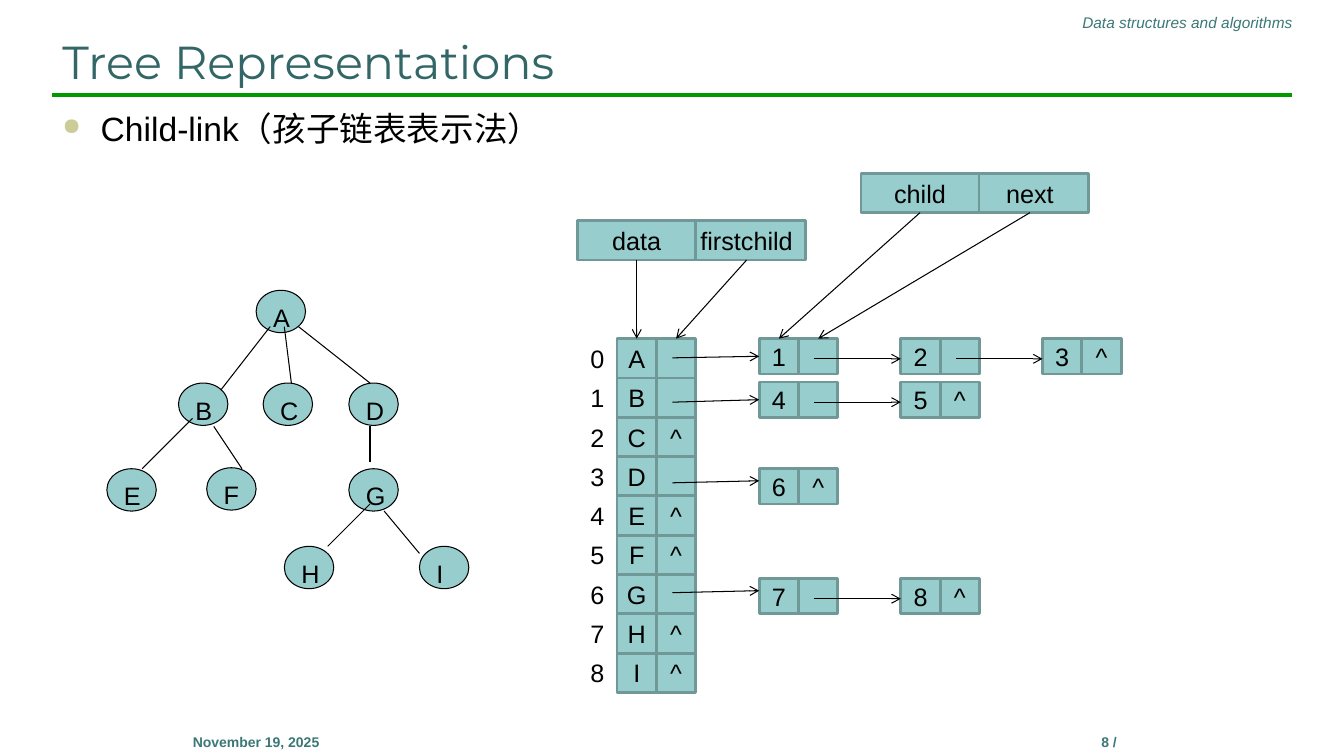
from lxml import etree
from pptx import Presentation
from pptx import util as u
from pptx.dml.color import RGBColor
from pptx.enum import shapes, text
from pptx.oxml.ns import qn

BLACK, GREEN, TEAL, TITLE = "000000", "009900", "3A7877", "336666"
FILL, BORDER, BULLET = "97CDCC", "709897", "CCCC99"
LEFT, CENTER, RIGHT = text.PP_ALIGN.LEFT, text.PP_ALIGN.CENTER, text.PP_ALIGN.RIGHT
TOP, MIDDLE, BOTTOM = text.MSO_ANCHOR.TOP, text.MSO_ANCHOR.MIDDLE, text.MSO_ANCHOR.BOTTOM
RECTANGLE, OVAL = shapes.MSO_SHAPE.RECTANGLE, shapes.MSO_SHAPE.OVAL

presentation = Presentation()
presentation.slide_width = u.Inches(13.33)
presentation.slide_height = u.Inches(7.5)
slide = presentation.slides.add_slide(presentation.slide_layouts[6])


def add_box(place, wording="", kind=None, border=(BORDER, 2), align=CENTER,
            anchor=MIDDLE, color=BLACK, wrap=False, **font):
    lengths = [u.Inches(value) for value in place]
    if kind is None:
        shape = slide.shapes.add_textbox(*lengths)
    else:
        shape = slide.shapes.add_shape(kind, *lengths)
        shape.shadow.inherit = False
        shape.fill.solid()
        shape.fill.fore_color.rgb = RGBColor.from_string(FILL)
        shape.line.color.rgb = RGBColor.from_string(border[0])
        shape.line.width = u.Pt(border[1])
    frame = shape.text_frame
    frame.word_wrap = wrap
    frame.vertical_anchor = anchor
    if wording:
        paragraph = frame.paragraphs[0]
        paragraph.alignment = align
        run = paragraph.add_run()
        run.text = wording
        run.font.color.rgb = RGBColor.from_string(color)
        for name, value in {"name": "Arial", "size": u.Pt(18), **font}.items():
            setattr(run.font, name, value)
    return shape


def add_line(start, end, color=BLACK, width=0.75, arrow=False):
    lengths = [u.Inches(value) for value in (*start, *end)]
    line = slide.shapes.add_connector(shapes.MSO_CONNECTOR.STRAIGHT, *lengths)
    line.line.color.rgb = RGBColor.from_string(color)
    line.line.width = u.Pt(width)
    if arrow:
        etree.SubElement(line.line._get_or_add_ln(), qn("a:tailEnd"), type="arrow")
    etree.SubElement(line._element.spPr, qn("a:effectLst"))
    return line


add_line((0.52, 0.94), (12.81, 0.94), GREEN, 3)
add_box((5.63, 0.08, 7.29, 0.29), "Data structures and algorithms", align=RIGHT,
        anchor=TOP, color=TEAL, wrap=True, size=u.Pt(11), italic=True)
for left, wording in ((9.5, "8 /"), (1.04, "November 19, 2025")):
    add_box((left, 7.23, 3, 0.5), wording, anchor=TOP, color=TEAL, wrap=True,
            size=u.Pt(10), bold=True)
add_box((0.52, 0.23, 12.29, 0.7), "Tree Representations", align=LEFT, anchor=BOTTOM,
        color=TITLE, wrap=True, name="Montserrat", size=u.Pt(33))

body = add_box((0.52, 1.02, 12.29, 6.09), "Child-link（孩子链表表示法）", align=LEFT,
               anchor=TOP, wrap=True, size=u.Pt(24))
properties = body.text_frame.paragraphs[0]._p.get_or_add_pPr()
properties.set("marL", str(u.Inches(0.38)))
properties.set("indent", str(u.Inches(-0.38)))
spacing = etree.SubElement(properties, qn("a:spcBef"))
etree.SubElement(spacing, qn("a:spcPct"), val="20000")
bullet_color = etree.SubElement(properties, qn("a:buClr"))
etree.SubElement(bullet_color, qn("a:srgbClr"), val=BULLET)
etree.SubElement(properties, qn("a:buSzPct"), val="70000")
etree.SubElement(properties, qn("a:buChar"), char="●")

tree_nodes = {
    "A": (2.54, 2.88), "B": (1.77, 3.8), "C": (2.61, 3.8), "E": (1.06, 4.65),
    "D": (3.46, 3.8), "F": (2.05, 4.64), "G": (3.46, 4.65), "H": (2.82, 5.42),
    "I": (4.16, 5.42),
}
for letter, (left, top) in tree_nodes.items():
    add_box((left, top, 0.49, 0.42), kind=OVAL, border=(BLACK, 0.75))
    add_box((left + 0.07, top + 0.07, 0.42, 0.4), letter, align=LEFT, wrap=True)

tree_edges = [
    ((2.68, 3.24), (2.19, 3.87)), ((2.82, 3.24), (2.89, 3.8)),
    ((2.96, 3.24), (3.67, 3.8)), ((1.91, 4.15), (1.41, 4.65)),
    ((2.12, 4.23), (2.4, 4.65)), ((3.67, 4.23), (3.67, 4.58)),
    ((3.67, 5), (3.25, 5.42)), ((3.81, 5.07), (4.16, 5.49)),
]
for start, end in tree_edges:
    add_line(start, end)

CELL, LINK_HEIGHT, LINK_STEP, ARRAY_TOP = 0.39, 0.35, 1.405, 3.36
array_cells = []
for index, letter in enumerate("ABCDEFGHI"):
    top = ARRAY_TOP + index * CELL
    mark = "" if letter in "ABDG" else "^"
    array_cells.append([
        add_box((6.12, top, CELL, CELL), letter, RECTANGLE),
        add_box((6.51, top, CELL, CELL), mark, RECTANGLE),
    ])
    add_box((5.73, top, CELL, CELL), str(index))

child_lists = [
    (3.36, 3.55, "123", True), (3.79, 3.99, "45", True),
    (4.65, 4.79, "6", False), (5.74, 5.88, "78", False),
]
link_cells = []
for top, arrow_top, children, joined in child_lists:
    for position, child in enumerate(children):
        left = 7.53 + position * LINK_STEP
        mark = "^" if child == children[-1] else ""
        pair = [
            add_box((left, top, CELL, LINK_HEIGHT), child, RECTANGLE),
            add_box((left + CELL, top, CELL, LINK_HEIGHT), mark, RECTANGLE),
        ]
        link_cells.append(pair)
        if position:
            add_line((left - 0.86, top + 0.2), (left, top + 0.2), arrow=True)
        else:
            arrow = add_line((6.67, arrow_top), (left, arrow_top - 0.02), arrow=True)
            if joined:
                arrow.end_connect(pair[0], 1)

legends = [
    (5.73, 2.19, ("data", "firstchild"), array_cells[0]),
    (8.54, 1.72, ("child", "next"), link_cells[0]),
]
for left, top, fields, cells in legends:
    for position in (1, 0):
        field_left = left + position * 1.09
        field = add_box((field_left, top, 1.17, CELL), fields[position], RECTANGLE)
        arrow = add_line((field_left + 0.58, top + CELL), (left, ARRAY_TOP), arrow=True)
        arrow.begin_connect(field, 2)
        arrow.end_connect(cells[position], 0)

presentation.save("out.pptx")
